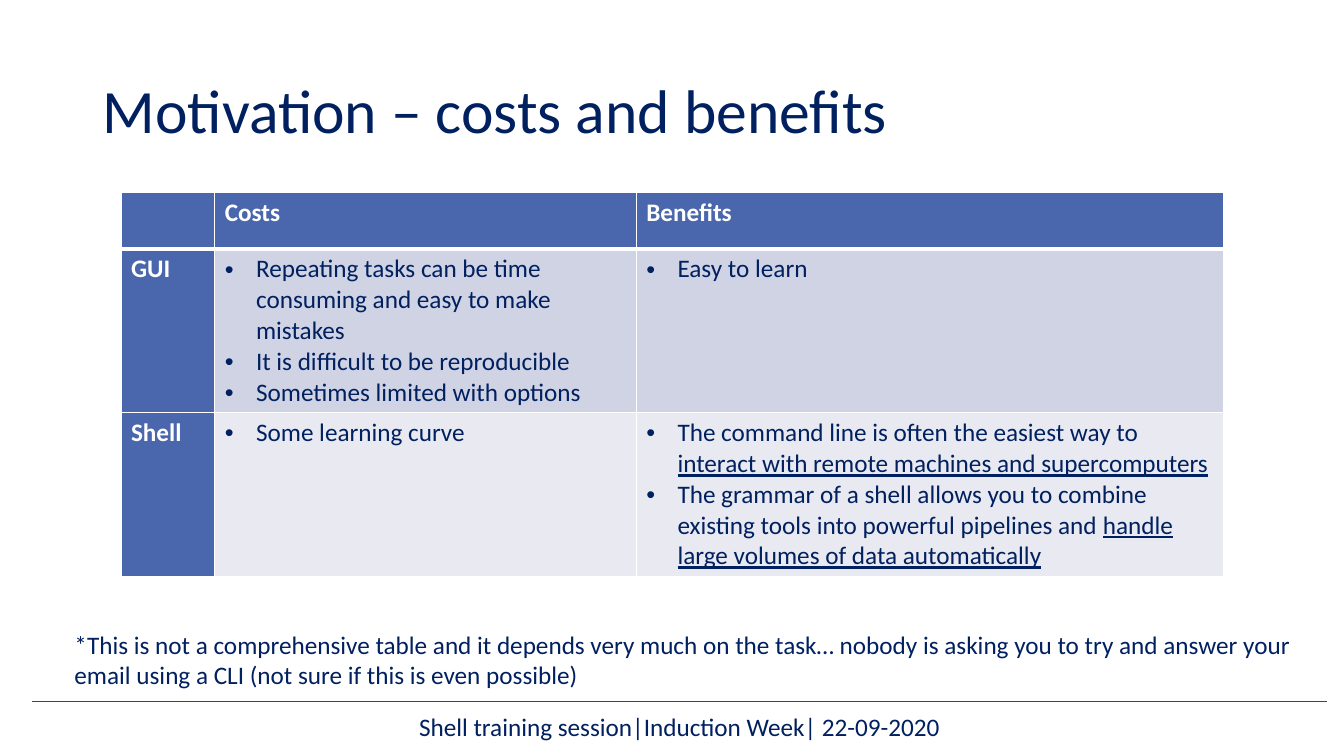
from lxml import etree
from pptx import Presentation
from pptx.dml.color import RGBColor
from pptx.enum import shapes, text
from pptx.oxml import parse_xml
from pptx.oxml.ns import nsdecls, qn
from pptx.util import Inches, Pt

HUES = {"navy": "002060", "blue": "4A66AC", "mid": "D0D3E3",
        "pale": "E9EAF1", "white": "FFFFFF", "rule": "1E4E79"}


def hue(name):
    return RGBColor.from_string(HUES[name])


def style(par, color, size=18, bold=False):
    for run in par.runs:
        run.font.name = "Calibri"
        run.font.size = Pt(size)
        run.font.bold = bold
        run.font.color.rgb = hue(color)


deck = Presentation()
deck.slide_width = Inches(13.33)
deck.slide_height = Inches(7.5)
slide = deck.slides.add_slide(deck.slide_layouts[5])

title = slide.shapes.title
title.left, title.top = Inches(0.92), Inches(0.4)
title.width, title.height = Inches(11.5), Inches(1.45)
title.text_frame.text = "Motivation – costs and benefits"
title.text_frame.vertical_anchor = text.MSO_ANCHOR.MIDDLE
head = title.text_frame.paragraphs[0]
head.alignment = text.PP_ALIGN.LEFT
head.line_spacing = 0.9
style(head, "navy", 44)

rows = [
    [[], ["Costs"], ["Benefits"]],
    [["GUI"],
     ["Repeating tasks can be time consuming and easy to make mistakes",
      "It is difficult to be reproducible",
      "Sometimes limited with options"],
     ["Easy to learn"]],
    [["Shell"],
     ["Some learning curve"],
     ["The command line is often the easiest way to "
      "_interact with remote machines and supercomputers",
      "The grammar of a shell allows you to combine existing tools into "
      "powerful pipelines and _handle large volumes of data automatically"]],
]
table = slide.shapes.add_table(
    3, 3, Inches(1.2), Inches(1.91), Inches(10.94), Inches(3.76)).table
for col, width in zip(table.columns, [0.93, 4.18, 5.83]):
    col.width = Inches(width)
for row, height in zip(table.rows, [0.56, 1.6, 1.6]):
    row.height = Inches(height)

for r, row in enumerate(rows):
    for c, lines in enumerate(row):
        cell = table.cell(r, c)
        label = r == 0 or c == 0
        cell.fill.solid()
        cell.fill.fore_color.rgb = hue("blue" if label else ["mid", "pale"][r - 1])
        props = cell._tc.get_or_add_tcPr()
        for i, side in enumerate("LRTB"):
            thick = (r, side) in [(0, "B"), (1, "T")]
            props.insert(i, parse_xml(
                f'<a:ln{side} {nsdecls("a")} w="{Pt(3 if thick else 1)}"><a:solidFill>'
                f'<a:srgbClr val="{HUES["white"]}"/></a:solidFill></a:ln{side}>'))
        frame = cell.text_frame
        for i, line in enumerate(lines):
            par = frame.add_paragraph() if i else frame.paragraphs[0]
            for k, part in enumerate(line.split("_")):
                run = par.add_run()
                run.text = part
                run.font.underline = k == 1
            style(par, "white" if label else "navy", bold=label)
            if not label:
                ppr = par._p.get_or_add_pPr()
                ppr.set("marL", str(Inches(0.31)))
                ppr.set("indent", str(-Inches(0.31)))
                etree.SubElement(ppr, qn("a:buFont")).set("typeface", "Arial")
                etree.SubElement(ppr, qn("a:buChar")).set("char", "•")

notes = [
    (0.64, 6.19, 12.35, 0.71, text.PP_ALIGN.LEFT,
     "*This is not a comprehensive table and it depends very much on the task… "
     "nobody is asking you to try and answer your email using a CLI "
     "(not sure if this is even possible)"),
    (0.55, 7.01, 12.38, 0.4, text.PP_ALIGN.CENTER,
     "Shell training session|Induction Week| 22-09-2020"),
]
for left, top, width, height, align, words in notes:
    box = slide.shapes.add_textbox(
        Inches(left), Inches(top), Inches(width), Inches(height))
    box.text_frame.word_wrap = True
    box.text_frame.text = words
    par = box.text_frame.paragraphs[0]
    par.alignment = align
    style(par, "navy")

rule = slide.shapes.add_connector(
    shapes.MSO_CONNECTOR.STRAIGHT,
    Inches(0.32), Inches(6.96), Inches(13.16), Inches(6.96))
rule.line.color.rgb = hue("rule")
rule.line.width = Pt(1)
etree.SubElement(rule._element.spPr, qn("a:effectLst"))

deck.save("out.pptx")
